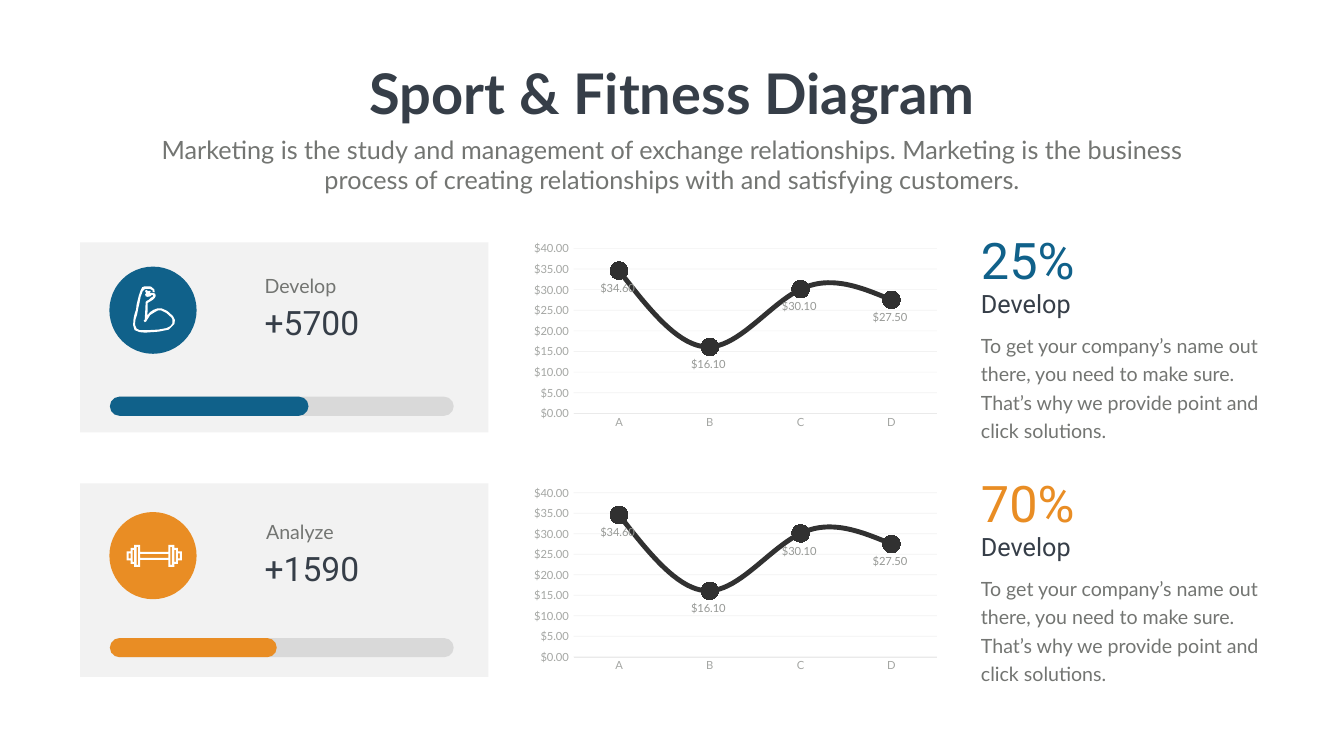
from lxml import etree
from pptx import Presentation
from pptx.chart.data import CategoryChartData
from pptx.dml.color import RGBColor
from pptx.enum.chart import XL_CHART_TYPE, XL_LABEL_POSITION, XL_MARKER_STYLE, XL_TICK_MARK
from pptx.enum.shapes import MSO_SHAPE
from pptx.enum.text import MSO_AUTO_SIZE, PP_ALIGN
from pptx.oxml.ns import qn
from pptx.util import Inches, Pt

LINE_MARKERS = XL_CHART_TYPE.LINE_MARKERS
BELOW = XL_LABEL_POSITION.BELOW
CIRCLE = XL_MARKER_STYLE.CIRCLE
NO_TICK = XL_TICK_MARK.NONE
RECT, PILL, OVAL = MSO_SHAPE.RECTANGLE, MSO_SHAPE.ROUNDED_RECTANGLE, MSO_SHAPE.OVAL
LEFT, CENTER = PP_ALIGN.LEFT, PP_ALIGN.CENTER
GROW = MSO_AUTO_SIZE.SHAPE_TO_FIT_TEXT

COLORS = {
    "blue": "10618A", "orange": "E98D24", "dark": "363E48", "gray": "737572",
    "track": "D9D9D9", "tint": "808080", "white": "FFFFFF", "curve": "313131",
    "axis_text": "A4A6A3", "axis_line": "EAEAEA", "label": "969895",
}
MONEY = '"$"#,##0.00_);[Red]\\("$"#,##0.00\\)'
BODY = ("To get your company’s name out there, you need to make sure. "
        "That’s why we provide point and click solutions.")
INTRO = ("Marketing is the study and management of exchange relationships. "
         "Marketing is the business process of creating relationships with "
         "and satisfying customers.")

# Text formats
TITLE = {"size": Pt(80), "name": "Lato", "bold": True, "color": "dark"}
SUBTITLE = {"size": Pt(36), "name": "Lato", "color": "gray"}
NOTE = {"size": Pt(28), "name": "Lato", "color": "gray"}
HEADING = {"size": Pt(36), "name": "Roboto", "color": "dark"}
FIGURE = {"size": Pt(48), "name": "Roboto", "color": "dark"}
PERCENT = {"size": Pt(72), "name": "Roboto"}
CHART_TEXT = {"size": Pt(16), "name": "Lato"}

# Outline of the flexed arm, in slide inches
ARM = [
    (3.43, 6.27), (3.32, 6.17), (3.21, 6.12), (3.12, 6.12), (3.04, 6.15), (2.98, 6.19),
    (2.92, 6.26), (2.93, 6.15), (2.93, 6.01), (2.98, 5.98), (3.03, 5.95), (3.07, 5.91),
    (3.09, 5.87), (3.08, 5.83), (3.04, 5.81), (2.99, 5.81), (2.94, 5.83), (2.95, 5.82),
    (2.97, 5.81), (2.99, 5.78), (2.96, 5.77), (2.93, 5.78), (2.92, 5.76), (2.89, 5.75),
    (2.88, 5.78), (2.9, 5.82), (2.88, 5.84), (2.89, 5.88), (2.93, 5.89), (2.98, 5.88),
    (3, 5.86), (3.03, 5.85), (3.04, 5.88), (2.99, 5.91), (2.95, 5.95), (2.91, 5.97),
    (2.89, 5.99), (2.88, 6.2), (2.87, 6.35), (2.85, 6.36), (2.87, 6.39), (2.9, 6.38),
    (2.91, 6.36), (2.98, 6.25), (3.06, 6.2), (3.13, 6.16), (3.2, 6.16), (3.3, 6.21),
    (3.4, 6.3), (3.42, 6.34), (3.42, 6.42), (3.38, 6.47), (3.3, 6.51), (3.14, 6.54),
    (2.95, 6.55), (2.77, 6.55), (2.71, 6.52), (2.68, 6.45), (2.68, 6.41), (2.69, 6.33),
    (2.72, 6.24), (2.75, 6.08), (2.76, 6.05), (2.79, 5.89), (2.83, 5.78), (2.88, 5.73),
    (2.96, 5.73), (2.99, 5.74), (3.03, 5.76), (3.03, 5.79), (3.07, 5.8), (3.06, 5.74),
    (3, 5.69), (2.97, 5.68), (2.87, 5.68), (2.82, 5.7), (2.79, 5.76), (2.75, 5.88),
    (2.71, 6.04), (2.7, 6.14), (2.67, 6.23), (2.65, 6.32), (2.64, 6.45), (2.67, 6.55),
    (2.77, 6.59), (2.88, 6.6), (3.15, 6.58), (3.35, 6.54), (3.46, 6.43), (3.47, 6.35),
]


def dumbbell(cx=3.06, cy=11.03):
    """Contours of a dumbbell, mirrored about its centre."""
    quarter = [(0.28, 0.08), (0.28, 0.22), (0.4, 0.22), (0.4, 0.16),
               (0.47, 0.16), (0.47, 0.09), (0.55, 0.09)]
    half = quarter + [(x, -y) for x, y in reversed(quarter)]
    contours = [half + [(-x, -y) for x, y in half]]
    holes = [(-0.28, 0.28, 0.04)]
    for x1, x2, h in [(0.32, 0.35, 0.18), (0.4, 0.43, 0.12), (0.47, 0.51, 0.05)]:
        holes += [(x1, x2, h), (-x2, -x1, h)]
    contours += [[(a, -h), (b, -h), (b, h), (a, h)] for a, b, h in holes]
    return [[(cx + x, cy + y) for x, y in c] for c in contours]


def rgb(name):
    return RGBColor.from_string(COLORS[name])


def set_font(font, fmt, color=None):
    for key, value in fmt.items():
        if key != "color":
            setattr(font, key, value)
    font.color.rgb = rgb(color or fmt["color"])


def set_alpha(element, percent):
    """Make the solid colours under an element see-through."""
    for clr in element.iter(qn("a:srgbClr")):
        etree.SubElement(clr, qn("a:alpha"), val=str(percent * 1000))


def paint(sp, color):
    sp.shadow.inherit = False
    sp.fill.solid()
    sp.fill.fore_color.rgb = rgb(color)
    sp.line.fill.background()
    return sp


def add_text(s, box, text, fmt, color=None, align=LEFT, spacing=None, wrap=True):
    tf = s.shapes.add_textbox(*map(Inches, box)).text_frame
    tf.word_wrap = wrap
    tf.auto_size = GROW
    p = tf.paragraphs[0]
    p.alignment = align
    if spacing:
        p.line_spacing = spacing
    r = p.add_run()
    r.text = text
    set_font(r.font, fmt, color)


def add_block(s, kind, box, color):
    sp = paint(s.shapes.add_shape(kind, *map(Inches, box)), color)
    if kind == PILL:
        sp.adjustments[0] = 0.5
    return sp


def add_icon(s, contours):
    """Draw closed contours; the builder keeps whole units, so points are in EMU."""
    outlines = [[(Inches(x), Inches(y)) for x, y in c] for c in contours]
    fb = s.shapes.build_freeform(*outlines[0][0])
    for i, points in enumerate(outlines):
        if i:
            fb.move_to(*points[0])
        fb.add_line_segments(points[1:], close=True)
    paint(fb.convert_to_shape(), "white")


def add_line_chart(s, box, color):
    data = CategoryChartData(number_format=MONEY)
    data.categories = ["A", "B", "C", "D"]
    data.add_series("Series 1", [34.6, 16.1, 30.1, 27.5])
    chart = s.shapes.add_chart(LINE_MARKERS, *map(Inches, box), data).chart
    chart.has_legend = chart.has_title = False
    set_font(chart.font, CHART_TEXT, "gray")

    # Axes
    cat, val = chart.category_axis, chart.value_axis
    for axis in (cat, val):
        axis.major_tick_mark = axis.minor_tick_mark = NO_TICK
        set_font(axis.tick_labels.font, CHART_TEXT, "axis_text")
    cat.format.line.color.rgb = rgb("axis_line")
    cat.format.line.width = Pt(0.75)
    val.format.line.fill.background()
    val.minimum_scale, val.maximum_scale, val.major_unit = 0, 40, 5
    val.tick_labels.number_format = MONEY
    val.tick_labels.number_format_is_linked = False
    grid = val.major_gridlines.format.line
    grid.color.rgb = rgb("tint")
    grid.width = Pt(1)
    set_alpha(val.major_gridlines._xAx.find(qn("c:majorGridlines")), 10)

    # Curve, markers and labels
    plot = chart.plots[0]
    plot.vary_by_categories = False
    series = plot.series[0]
    series.smooth = True
    series.format.line.color.rgb = rgb("curve")
    series.format.line.width = Pt(7)
    marker = series.marker
    marker.style, marker.size = CIRCLE, 25
    marker.format.fill.solid()
    marker.format.fill.fore_color.rgb = rgb(color)
    marker.format.line.fill.background()
    labels = series.data_labels
    labels.show_value, labels.position = True, BELOW
    labels.number_format, labels.number_format_is_linked = MONEY, False
    set_font(labels.font, CHART_TEXT, "label")


def add_row(s, row):
    color, top, y = row["color"], row["top"], row["text_top"]
    # Card with icon, figure and progress bar
    card = add_block(s, RECT, (1.59, top, 8.1, row["height"]), "tint")
    set_alpha(card.fill._xPr, 10)
    for width, shade in ((6.82, "track"), (row["progress"], color)):
        add_block(s, PILL, (2.18, row["bar_top"], width, 0.38), shade)
    icon_top = row["icon_top"]
    add_text(s, (row["name_left"], icon_top, 2.25, 0.63), row["name"], NOTE, spacing=Pt(40.8))
    add_text(s, (5.15, icon_top + 0.66, 2.95, 0.91), row["figure"], FIGURE)
    add_block(s, OVAL, (2.17, icon_top, 1.73, 1.73), color)
    add_icon(s, row["icon"])
    # Chart
    add_line_chart(s, row["chart"], color)
    # Percentage and note
    add_text(s, (19.36, y, 2.51, 1.31), row["percent"], PERCENT, color)
    add_text(s, (19.36, y + 1.19, 5.72, 0.71), "Develop", HEADING)
    add_text(s, (19.36, y + 1.98, 5.72, 2.34), BODY, NOTE, spacing=Pt(40.8))


def main():
    prs = Presentation()
    prs.slide_width, prs.slide_height = Inches(26.66), Inches(15)
    s = prs.slides.add_slide(prs.slide_layouts[6])

    # Heading
    add_text(s, (7.18, 1.12, 12.31, 1.45), "Sport & Fitness Diagram", TITLE,
             align=CENTER, wrap=False)
    add_text(s, (2.92, 2.61, 20.82, 1.31), INTRO, SUBTITLE, align=CENTER)

    # Rows
    rows = [
        {"color": "blue", "top": 4.81, "height": 3.77, "bar_top": 7.87, "progress": 3.94,
         "icon_top": 5.29, "icon": [ARM], "name": "Develop", "name_left": 5.15,
         "figure": "+5700", "chart": (10.43, 4.72, 8.32, 3.86),
         "text_top": 4.49, "percent": "25%"},
        {"color": "orange", "top": 9.59, "height": 3.84, "bar_top": 12.66, "progress": 3.31,
         "icon_top": 10.16, "icon": dumbbell(), "name": "Analyze", "name_left": 5.18,
         "figure": "+1590", "chart": (10.43, 9.57, 8.32, 3.84),
         "text_top": 9.31, "percent": "70%"},
    ]
    for row in rows:
        add_row(s, row)
    prs.save("out.pptx")


if __name__ == "__main__":
    main()
